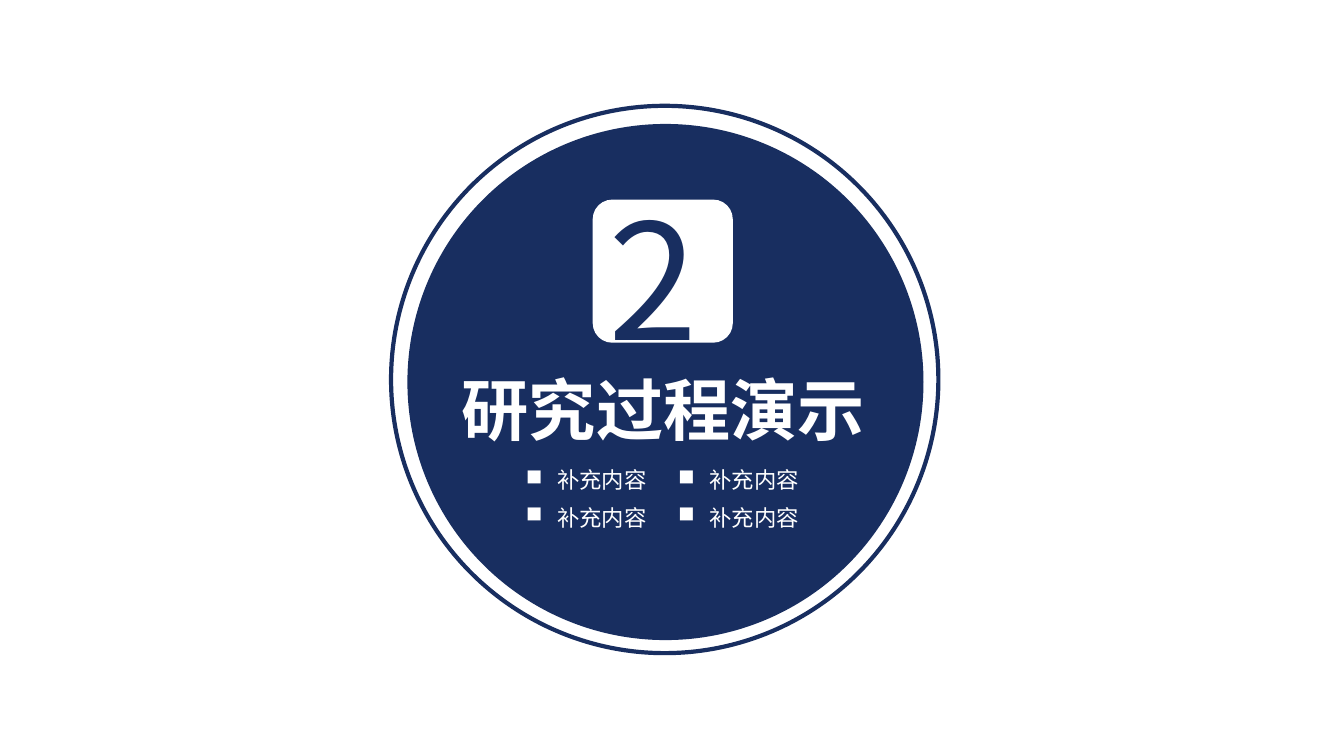
from dataclasses import dataclass
from itertools import product

from lxml.etree import SubElement
from pptx import Presentation
from pptx.dml.color import RGBColor
from pptx.enum.shapes import MSO_SHAPE as Preset
from pptx.enum.text import MSO_ANCHOR as Anchor, MSO_AUTO_SIZE as AutoSize, PP_ALIGN as Align
from pptx.oxml.ns import qn
from pptx.shapes.autoshape import Shape
from pptx.slide import Slide
from pptx.util import Emu, Inches, Pt

NAVY = RGBColor(0x18, 0x2E, 0x60)
WHITE = RGBColor(0xFF, 0xFF, 0xFF)
FONT = "Noto Sans CJK SC"

# The slide is a grid of 160 columns by 90 rows of square cells
SLIDE_WIDTH, SLIDE_HEIGHT = Inches(13.3333), Inches(7.5)
CELL = SLIDE_HEIGHT / 90


@dataclass(frozen=True)
class Box:
    column: float
    row: float
    columns: float
    rows: float

    def place(self) -> tuple[Emu, ...]:
        lengths = (self.column, self.row, self.columns, self.rows)
        return tuple(Emu(round(length * CELL)) for length in lengths)


@dataclass(frozen=True)
class Panel:
    preset: Preset
    box: Box
    fill: RGBColor | None = None
    line: RGBColor | None = None
    corner: float | None = None


@dataclass(frozen=True)
class Label:
    text: str
    box: Box
    size: float
    color: RGBColor = WHITE
    bold: bool = False
    wrap: bool = True
    bullet: str = ""


PANELS = [
    Panel(Preset.OVAL, Box(46.56, 12.6, 65.16, 65.16), line=NAVY),
    Panel(Preset.OVAL, Box(48.5, 14.76, 61.44, 61.44), fill=NAVY),
    Panel(Preset.ROUNDED_RECTANGLE, Box(70.56, 23.76, 16.68, 17.04), fill=WHITE, corner=0.14),
]
TITLE = Label("研究过程演示", Box(53.76, 43.2, 51.48, 10.92), 48, bold=True, wrap=False)
NUMBER = Label("2", Box(71.28, 20.76, 13.8, 24.48), 115, color=NAVY)
TOPICS = [
    Label("补充内容", Box(61.44 + 18.12 * column, 54.96 + 4.44 * row, 18, 4.44), 16, bullet="■")
    for column, row in product(range(2), repeat=2)
]


def draw_panel(slide: Slide, panel: Panel) -> None:
    shape = slide.shapes.add_shape(panel.preset, *panel.box.place())
    shape.shadow.inherit = False
    if panel.fill is None:
        shape.fill.background()
    else:
        shape.fill.solid()
        shape.fill.fore_color.rgb = panel.fill
    if panel.line is None:
        shape.line.fill.background()
    else:
        shape.line.color.rgb = panel.line
        shape.line.width = Pt(3)
    if panel.corner is not None:
        shape.adjustments[0] = panel.corner


def write_label(shape: Shape, label: Label) -> None:
    shape.left, shape.top, shape.width, shape.height = label.box.place()
    frame = shape.text_frame
    frame.text = label.text
    frame_format = {
        "word_wrap": label.wrap,
        "auto_size": AutoSize.SHAPE_TO_FIT_TEXT,
        "vertical_anchor": Anchor.TOP,
    }
    for name, value in frame_format.items():
        setattr(frame, name, value)

    paragraph = frame.paragraphs[0]
    paragraph.alignment = Align.LEFT
    if label.bullet:
        properties = paragraph._p.get_or_add_pPr()
        properties.set("marL", str(Inches(0.31)))
        properties.set("indent", str(-Inches(0.31)))
        SubElement(properties, qn("a:buChar"), char=label.bullet)

    run = paragraph.runs[0]
    run.font.color.rgb = label.color
    font_format = {"name": FONT, "size": Pt(label.size), "bold": label.bold}
    for name, value in font_format.items():
        setattr(run.font, name, value)
    SubElement(run._r.get_or_add_rPr(), qn("a:ea"), typeface=FONT)


def main() -> None:
    presentation = Presentation()
    presentation.slide_width, presentation.slide_height = SLIDE_WIDTH, SLIDE_HEIGHT
    slide = presentation.slides.add_slide(presentation.slide_layouts[5])

    # Circles and number card
    for panel in PANELS:
        draw_panel(slide, panel)

    # Section title, brought in front of the circles
    title = slide.shapes.title
    title.element.getparent().append(title.element)
    write_label(title, TITLE)

    # Section number and topics
    for label in [NUMBER, *TOPICS]:
        write_label(slide.shapes.add_textbox(*label.box.place()), label)

    presentation.save("out.pptx")


if __name__ == "__main__":
    main()
